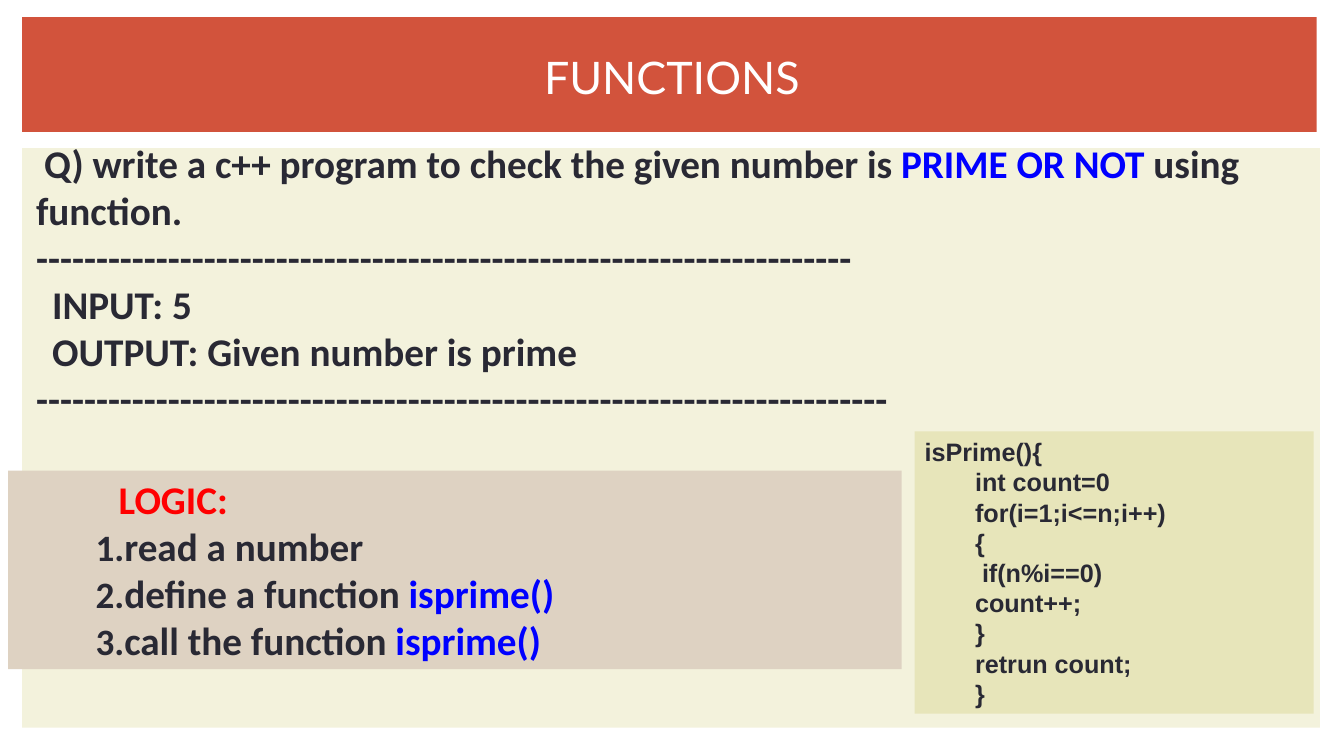
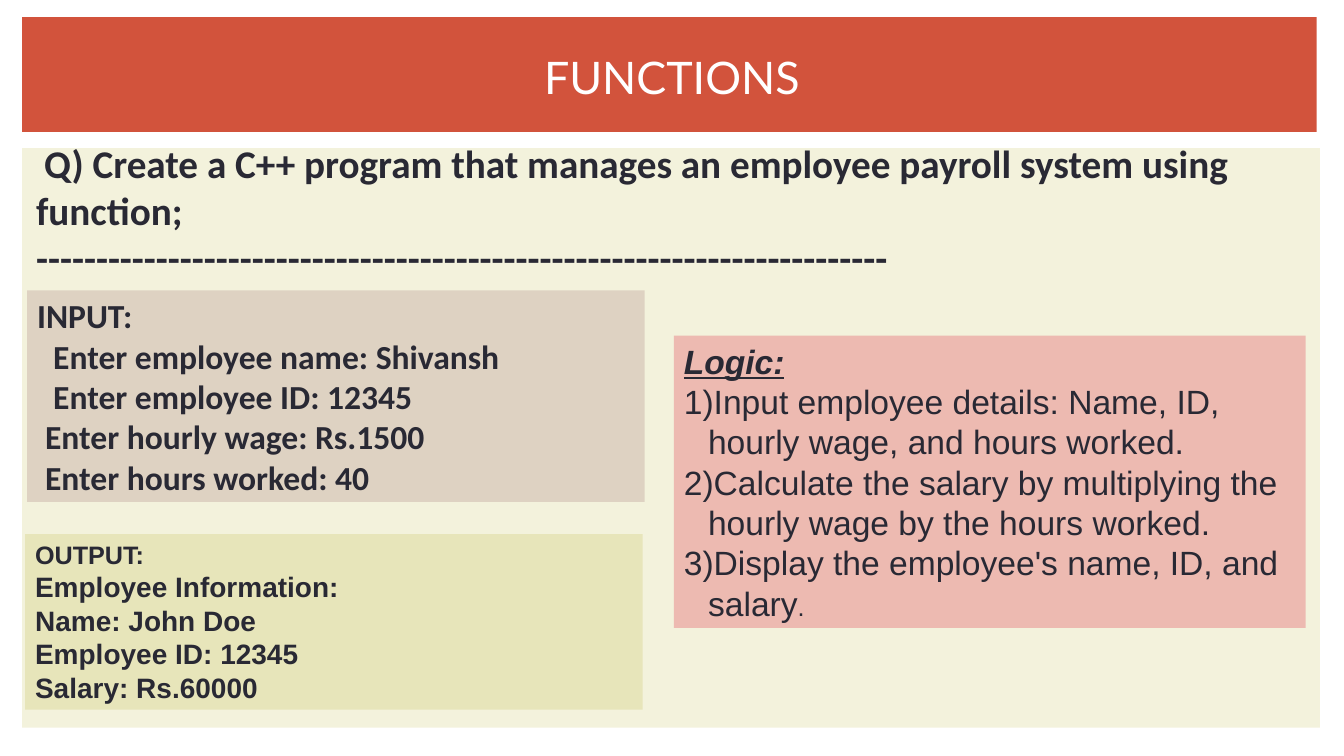
"""Build two slides of C++ function exercises."""
from lxml import etree
from pptx import Presentation, util as u
from pptx.dml.color import RGBColor
from pptx.enum import shapes, text
from pptx.oxml.ns import qn

COLORS = {
    "band": "D2533C", "panel": "F3F2DC", "tan": "DED2C2", "olive": "E7E5BA",
    "pink": "EDBAB1", "ink": "292934", "blue": "0000FF", "red": "FF0000",
    "white": "FFFFFF",
}
LEADING = 1.2
SPACE = 0.08


def color(name):
    return RGBColor.from_string(COLORS[name])


def add_panel(slide, box, fill):
    panel = slide.shapes.add_shape(shapes.MSO_SHAPE.RECTANGLE, *map(u.Inches, box))
    panel.shadow.inherit = False
    panel.fill.solid()
    panel.fill.fore_color.rgb = color(fill)
    panel.line.fill.background()
    return panel


def add_numbering(props, scheme, percent):
    ink = etree.SubElement(etree.SubElement(props, qn("a:buClr")), qn("a:srgbClr"))
    ink.set("val", COLORS["ink"])
    etree.SubElement(props, qn("a:buSzPct")).set("val", str(percent * 1000))
    etree.SubElement(props, qn("a:buAutoNum")).set("type", scheme)


def line(*runs, left=0, first=0, numbering=None, percent=100, **style):
    """Describe a paragraph: runs are strings or (string, overrides) pairs."""
    return dict(runs=runs, left=left, first=first, numbering=numbering,
                percent=percent, style=style)


def write(shape, lines, size, font, bold=True, ink="ink", align=text.PP_ALIGN.LEFT,
          anchor=text.MSO_ANCHOR.TOP):
    frame = shape.text_frame
    frame.word_wrap = True
    frame.vertical_anchor = anchor
    base = dict(size=size, bold=bold, ink=ink, italic=False, underline=False)
    for index, item in enumerate(lines):
        paragraph = frame.add_paragraph() if index else frame.paragraphs[0]
        paragraph.alignment = align
        line_style = {**base, **item["style"]}
        paragraph.line_spacing = u.Pt(LEADING * line_style["size"])
        props = paragraph._p.get_or_add_pPr()
        props.set("marL", str(u.Inches(item["left"])))
        props.set("indent", str(u.Inches(item["first"])))
        if item["numbering"]:
            add_numbering(props, item["numbering"], item["percent"])
        for part in item["runs"]:
            words, overrides = (part, {}) if isinstance(part, str) else part
            style = {**line_style, **overrides}
            run = paragraph.add_run()
            run.text = words
            run.font.name = font
            run.font.size = u.Pt(style["size"])
            run.font.bold = style["bold"]
            run.font.italic = style["italic"]
            run.font.underline = style["underline"]
            run.font.color.rgb = color(style["ink"])


def add_card(slide, box, fill, lines, size, font):
    write(add_panel(slide, box, fill), lines, size, font)


def add_question(slide, height, lines):
    question = slide.shapes.add_textbox(*map(u.Inches, (0.25, 1.33, 12.88, height)))
    write(question, lines, 28, "Calibri")


def add_function_slide(deck):
    slide = deck.slides.add_slide(deck.slide_layouts[6])
    add_panel(slide, (0.22, 1.47, 12.88, 5.75), "panel")
    add_panel(slide, (0.22, 0.17, 12.85, 1.14), "band")
    title = slide.shapes.add_textbox(*map(u.Inches, (0.56, 0.21, 12.22, 1.1)))
    write(title, [line("FUNCTIONS")], 32, "Lato", bold=False, ink="white",
          align=text.PP_ALIGN.CENTER, anchor=text.MSO_ANCHOR.MIDDLE)
    return slide


def add_prime_slide(deck):
    slide = add_function_slide(deck)
    add_question(slide, 2.9, [
        line("Q) write a c++ program to check the given number is ",
             ("PRIME OR NOT ", {"ink": "blue"}), "using", left=0.01, first=SPACE),
        line("function.", left=0.01),
        line("-" * 68, left=0.01),
        line("INPUT: 5", left=0.01, first=2 * SPACE),
        line("OUTPUT: Given number is prime", left=0.01, first=2 * SPACE),
        line("-" * 71, left=0.01),
    ])
    call = ("isprime()", {"ink": "blue"})
    steps = [("read a number",), ("define a function ", call), ("call the function ", call)]
    add_card(slide, (0.08, 4.67, 8.87, 1.97), "tan",
             [line("LOGIC:", left=1, ink="red")]
             + [line(*step, left=1, first=-0.23, numbering="arabicPeriod", percent=95)
                for step in steps], 28, "Calibri")
    body = ["int count=0", "for(i=1;i<=n;i++)", "{", " if(n%i==0)", "count++;", "}",
            "retrun count;", "}"]
    add_card(slide, (9.08, 4.28, 3.96, 2.8), "olive",
             [line("isPrime(){")] + [line(code, left=0.5) for code in body], 18, "Arial")


def add_payroll_slide(deck):
    slide = add_function_slide(deck)
    add_question(slide, 1.5, [
        line("Q) Create a C++ program that manages an employee payroll system using "
             "function;", left=0.01, first=SPACE),
        line("-" * 71, left=0.01),
    ])
    add_card(slide, (0.27, 2.88, 6.13, 2.1), "tan", [
        line("INPUT:"),
        line("Enter employee name: Shivansh", left=2 * SPACE),
        line("Enter employee ID: 12345", left=2 * SPACE),
        line("Enter hourly wage: Rs.1500", left=SPACE),
        line("Enter hours worked: 40", left=SPACE),
    ], 24, "Calibri")
    result = ["Employee Information:", "Name: John Doe", "Employee ID: 12345",
              "Salary: Rs.60000"]
    add_card(slide, (0.25, 5.3, 6.13, 1.74), "olive",
             [line("OUTPUT:", size=18)] + [line(entry) for entry in result], 20, "Arial")
    steps = [
        ("Input employee details: Name, ID, hourly wage, and hours worked.",),
        ("Calculate the salary by multiplying the hourly wage by the hours worked.",),
        ("Display the employee's name, ID, and salary", (".", {"size": 18})),
    ]
    add_card(slide, (6.69, 3.33, 6.27, 2.9), "pink",
             [line("Logic:", italic=True, underline=True)]
             + [line(*step, left=0.24, first=-0.24, numbering="arabicParenR", bold=False)
                for step in steps], 24, "Arial")


def main():
    deck = Presentation()
    deck.slide_width, deck.slide_height = u.Inches(13.34), u.Inches(7.5)
    add_prime_slide(deck)
    add_payroll_slide(deck)
    deck.save("out.pptx")


if __name__ == "__main__":
    main()
